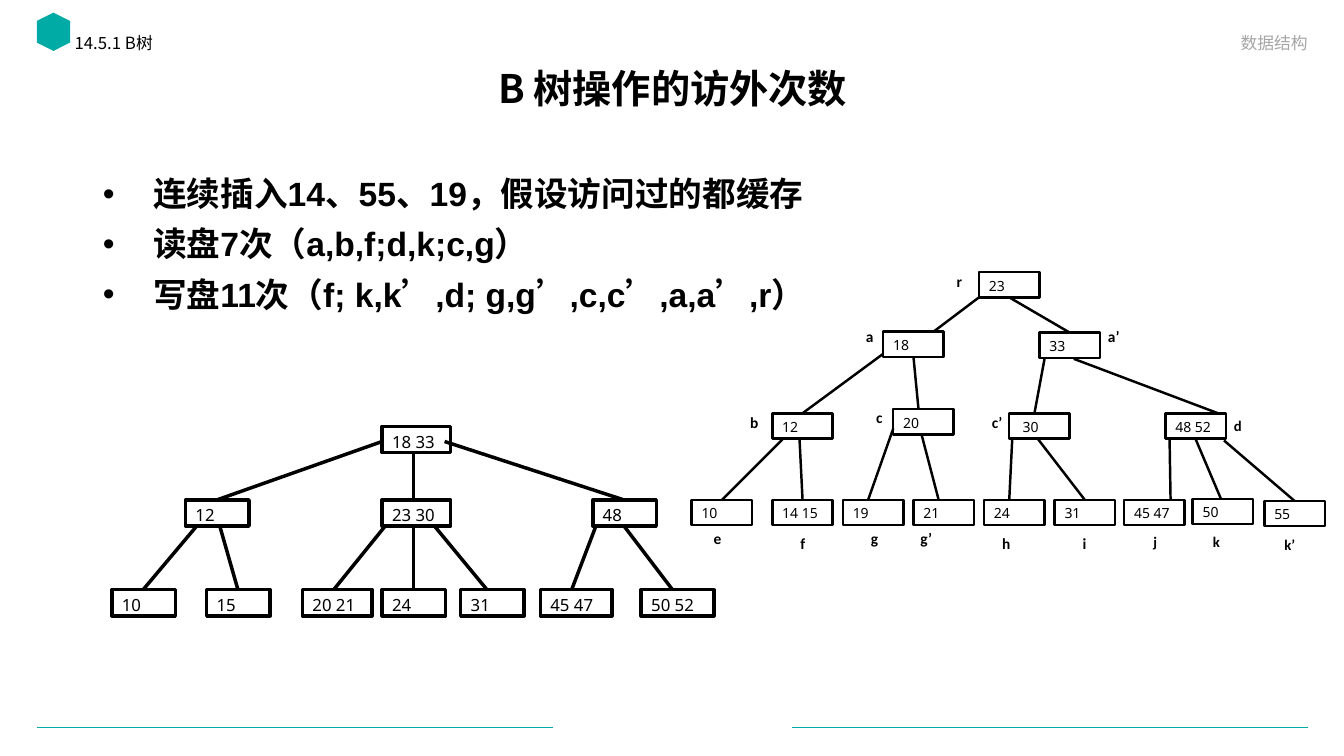
from dataclasses import dataclass
from typing import Optional

from lxml import etree
from pptx import Presentation
from pptx import util as u
from pptx.dml.color import RGBColor
from pptx.enum import shapes, text
from pptx.oxml.ns import qn

COLORS = {"ink": "000000", "paper": "FFFFFF", "teal": "00ABA5", "muted": "A6A6A6"}
CJK, LATIN, NODE_FONT, LABEL_FONT = "Noto Sans CJK SC", "Arial", "Noto Sans", "Calibri"
CELL = 0.1  # grid cell in inches: 133.3 columns by 75 rows
COLS, ROWS = 133.3, 75


@dataclass
class Node:
    keys: str
    x: float
    y: float
    width: float = 6
    parent: Optional[int] = None  # index of the parent node
    leave: tuple = (0, 0)  # edge start, from the parent's corner
    enter: float = 3  # edge end, along the node's top
    label: str = ""
    label_at: tuple = (0, 0)
    label_size: float = 11


def cells(*values):
    return [u.Inches(round(v * CELL, 3)) for v in values]


def color(name):
    return RGBColor.from_string(COLORS[name])


def format_text(p, font, size, bold=False, ink="ink"):
    for r in p.runs:
        r.font.name, r.font.size, r.font.bold = font, u.Pt(size), bold
        r.font.color.rgb = color(ink)
        latin = r.font._element.find(qn("a:latin"))
        east_asian = etree.Element(qn("a:ea"), typeface=CJK)
        latin.addnext(east_asian)


def add_line(slide, start, end, ink, weight):
    line = slide.shapes.add_connector(shapes.MSO_CONNECTOR.STRAIGHT, *cells(*start, *end))
    line.line.color.rgb = color(ink)
    line.line.width = u.Pt(weight)
    etree.SubElement(line._element.spPr, qn("a:effectLst"))
    style = line._element.find(qn("p:style"))
    line._element.remove(style)


def fill_placeholder(sp, box, wording, anchor, align, size, font=CJK, bold=False,
                     ink="ink", spacing=0.9):
    sp.left, sp.top, sp.width, sp.height = cells(*box)
    tf = sp.text_frame
    tf.text = wording
    tf.word_wrap = True
    tf.auto_size = text.MSO_AUTO_SIZE.NONE
    tf.vertical_anchor = anchor
    for p in tf.paragraphs:
        p.alignment = align
        p.line_spacing = spacing
        p.space_before = u.Pt(0)
        format_text(p, font, size, bold, ink)
    return tf


# Header: emblem, section, course and title
def add_header(slide, box):
    left, top, width, _ = box
    emblem = slide.shapes.add_shape(shapes.MSO_SHAPE.HEXAGON,
                                    *cells(left + 3.4, top + 1.5, 3.8, 3.3))
    emblem.rotation = 90
    emblem.shadow.inherit = False
    emblem.fill.solid()
    emblem.fill.fore_color.rgb = color("teal")
    emblem.line.fill.background()

    holders = slide.placeholders
    align, anchor = text.PP_ALIGN, text.MSO_ANCHOR
    fill_placeholder(holders[1], (left + 6.4, top + 3, 53.2, 3.6), "14.5.1 B树",
                     anchor.TOP, align.LEFT, 12)
    fill_placeholder(holders[3], (left + width - 59, top + 2.2, 56.4, 3.5), "数据结构",
                     anchor.BOTTOM, align.RIGHT, 12, ink="muted", spacing=1.0)
    fill_placeholder(slide.shapes.title, (left + 9.2, top + 6.2, 115, 5.7),
                     "B 树操作的访外次数", anchor.MIDDLE, align.CENTER, 28, bold=True)


# Bulleted list
def add_points(slide, box, points):
    tf = fill_placeholder(slide.placeholders[2], box, "\n".join(points), text.MSO_ANCHOR.TOP,
                          text.PP_ALIGN.LEFT, 24, LATIN, True)
    for i, p in enumerate(tf.paragraphs):
        p.space_before = u.Pt(10 if i else 0)
        props = p._p.get_or_add_pPr()
        props.set("marL", str(u.Inches(0.5)))
        props.set("indent", str(-u.Inches(0.5)))
        etree.SubElement(props, qn("a:buFont"), typeface=LATIN)
        etree.SubElement(props, qn("a:buChar"), char="•")


def add_label(slide, left, top, node):
    dx, dy = node.label_at
    sp = slide.shapes.add_textbox(*cells(left + dx, top + dy, 1.5 + len(node.label), 2.9))
    sp.text_frame.text = node.label
    sp.text_frame.word_wrap = False
    format_text(sp.text_frame.paragraphs[0], LABEL_FONT, node.label_size, True)


# Tree: node boxes, then edges and labels
def add_tree(slide, box, nodes, node_height, size, weight):
    left, top = box[:2]
    for node in nodes:
        sp = slide.shapes.add_shape(shapes.MSO_SHAPE.RECTANGLE,
                                    *cells(left + node.x, top + node.y, node.width, node_height))
        sp.shadow.inherit = False
        sp.fill.solid()
        sp.fill.fore_color.rgb = color("paper")
        sp.line.color.rgb = color("ink")
        sp.line.width = u.Pt(weight)
        tf = sp.text_frame
        tf.text = node.keys
        tf.vertical_anchor = text.MSO_ANCHOR.TOP
        tf.paragraphs[0].alignment = text.PP_ALIGN.LEFT
        format_text(tf.paragraphs[0], NODE_FONT, size)
    for node in nodes:
        x, y = left + node.x, top + node.y
        if node.parent is not None:
            parent, (dx, dy) = nodes[node.parent], node.leave
            start = (left + parent.x + dx, top + parent.y + dy)
            add_line(slide, start, (x + node.enter, y), "ink", weight)
        if node.label:
            add_label(slide, x, y, node)


# Footer rules, mirrored about the middle
def add_footer(slide, box):
    left, top, width, _ = box
    for start in (left, left + width - 51.1):
        add_line(slide, (start + 51.1, top), (start, top), "teal", 0.5)


POINTS = ["连续插入14、55、19，假设访问过的都缓存",
          "读盘7次（a,b,f;d,k;c,g）",
          "写盘11次（f; k,k’,d; g,g’,c,c’,a,a’,r）"]

TREE_BEFORE = [
    Node("18 33", 26.8, 0, 6.8),
    Node("12", 7.3, 7.3, 6.3, 0, (0, 1.5), 3.1),
    Node("23 30", 26.8, 7.3, 6.8, 0, (3.1, 2.6), 3.1),
    Node("48", 47.7, 7.3, 6.3, 0, (6.2, 1.5), 3.1),
    Node("10", 0, 16.2, 6.3, 1, (1.1, 2.6), 3.1),
    Node("15", 9.4, 16.2, 6.3, 1, (3.4, 2.6), 3.1),
    Node("20 21", 18.9, 16.2, 6.9, 2, (0.3, 2.6), 3.1),
    Node("24", 26.8, 16.2, 6.3, 2, (3.1, 2.6), 3.1),
    Node("31", 34.6, 16.2, 6.3, 2, (5.2, 2.6), 2.6),
    Node("45 47", 42.5, 16.2, 7.1, 3, (0.3, 2.6), 3.1),
    Node("50 52", 52.5, 16.2, 7.2, 3, (3.1, 2.6), 3.1),
]

TREE_AFTER = [
    Node("23", 28.5, 0, label="r", label_at=(-3.2, -0.5)),
    Node("18", 19, 5.9, 6, 0, (0, 2.5), 5, "a", (-2.7, -0.9)),
    Node("33", 34.5, 6, 6, 0, (3, 2.5), 3, "a’", (5.8, -1)),
    Node("12", 8, 14, 6, 1, (0, 2.2), 3, "b", (-3.2, -0.5)),
    Node("20", 20, 13.6, 6, 1, (3, 2.5), 2.5, "c", (-2.7, -0.6)),
    Node(" 30", 31.5, 14, 6, 2, (0.5, 2.6), 2.5, "c’", (-2.7, -0.5)),
    Node("48 52", 47, 14, 6, 2, (3.4, 2.6), 5.2, "d", (5.8, -0.1), 10.5),
    Node("10", 0, 22.6, 6, 3, (1, 2.6), 3, "e", (1.2, 2.4)),
    Node("14 15", 8, 22.6, 6, 3, (2.7, 2.6), 3, "f", (1.8, 2.9)),
    Node("19", 15, 22.6, 6, 4, (0, 1.9), 2.5, "g", (1.8, 2.4)),
    Node("21", 22, 22.6, 6, 4, (2.8, 2.5), 2.5, "g’", (-0.3, 2.4)),
    Node("24", 29, 22.6, 6, 5, (0.3, 2.5), 2.5, "h", (0.8, 2.9)),
    Node("31", 36, 22.6, 6, 5, (2.8, 2.5), 3, "i", (1.8, 2.9)),
    Node("45 47", 42.9, 22.6, 6, 6, (0.4, 2.6), 4.6, "j", (1.9, 2.8), 10.5),
    Node("50", 49.7, 22.5, 6, 6, (3, 2.6), 2.8, "k", (1, 2.9), 10.5),
    Node("55", 56.8, 22.7, 6, 6, (5.8, 2.7), 3, "k’", (1, 3), 10.5),
]


def main():
    prs = Presentation()
    prs.slide_width, prs.slide_height = cells(COLS, ROWS)
    slide = prs.slides.add_slide(prs.slide_layouts.get_by_name("Comparison"))
    spare = slide.placeholders[4]._element
    spare.getparent().remove(spare)

    add_footer(slide, (3.7, 72.2, 126, 2.8))
    add_header(slide, (0, 0, COLS, 12))
    add_points(slide, (9.2, 17.1, 111.4, 16.8), POINTS)
    add_tree(slide, (11.1, 42.3, 59.7, 18.8), TREE_BEFORE, 2.6, 12, 2.5)
    add_tree(slide, (68.6, 27, 62.8, 25.2), TREE_AFTER, 2.5, 10, 1.75)
    prs.save("out.pptx")


if __name__ == "__main__":
    main()
